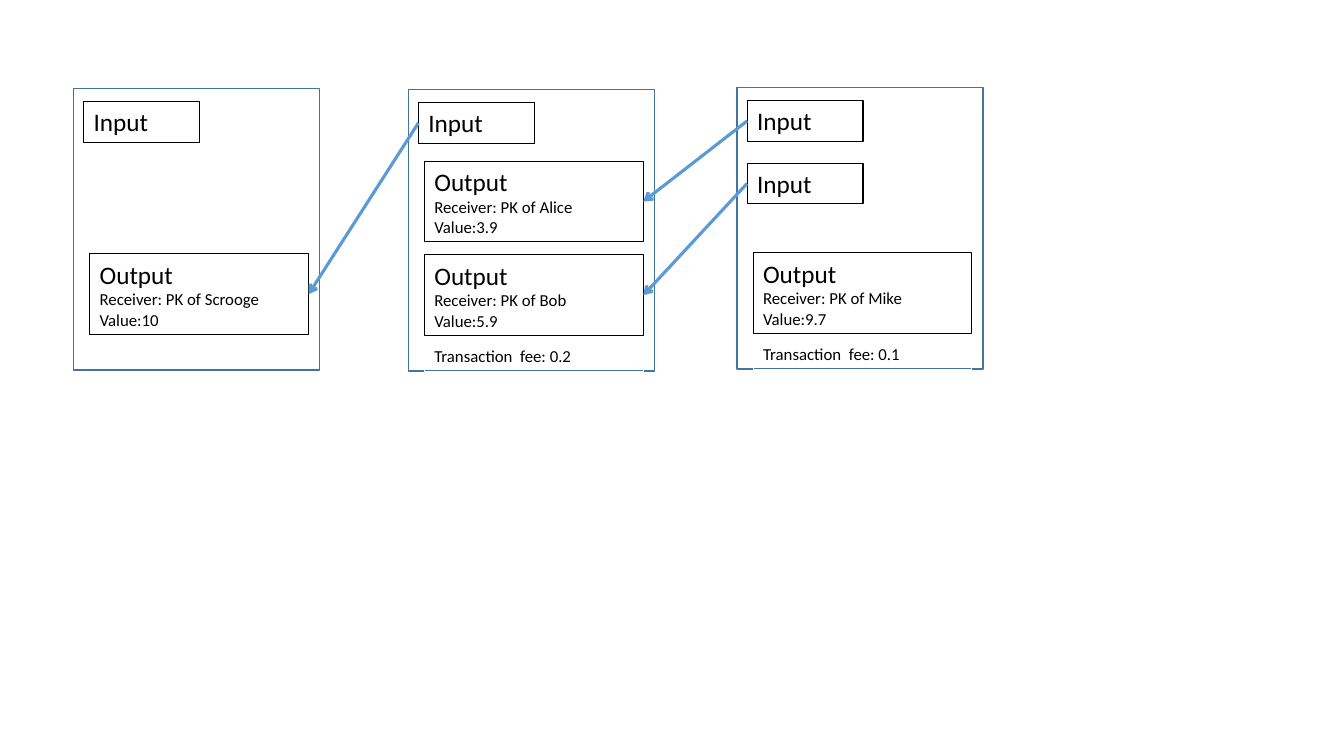
from lxml import etree
from pptx import Presentation
from pptx.dml.color import RGBColor
from pptx.enum.shapes import MSO_CONNECTOR, MSO_SHAPE
from pptx.enum.text import MSO_AUTO_SIZE as AUTO_SIZE, MSO_ANCHOR, PP_ALIGN
from pptx.oxml.ns import qn
from pptx.util import Inches, Pt

WHITE = RGBColor(0xFF, 0xFF, 0xFF)
BLACK = RGBColor(0x00, 0x00, 0x00)
FRAME_BLUE = RGBColor(0x43, 0x73, 0x9E)
ARROW_BLUE = RGBColor(0x5B, 0x9B, 0xD5)
FONT = "Calibri"
LEFT_SITE, RIGHT_SITE = 1, 3

# Offsets from the top left corner of a transaction
INPUT_X, FIRST_INPUT_Y, SECOND_INPUT_Y = 0.1, 0.13, 0.75
OUTPUT_X, UPPER_OUTPUT_Y, LOWER_OUTPUT_Y = 0.16, 0.71, 1.64
FEE_Y = 2.49


def add_box(slide, left, top, width, height, line, weight=0.75, fill=None):
    """Add an outlined rectangle, unfilled unless a fill is given."""
    box = slide.shapes.add_shape(MSO_SHAPE.RECTANGLE, Inches(left), Inches(top),
                                 Inches(width), Inches(height))
    box.shadow.inherit = False
    if fill is None:
        box.fill.background()
    else:
        box.fill.solid()
        box.fill.fore_color.rgb = fill
    box.line.color.rgb = line
    box.line.width = Pt(weight)
    return box


def write_text(box, *lines, first_size=18, size=12, color=BLACK):
    """Write one paragraph per line, the first in its own size."""
    frame = box.text_frame
    frame.word_wrap = True
    frame.auto_size = AUTO_SIZE.SHAPE_TO_FIT_TEXT
    frame.vertical_anchor = MSO_ANCHOR.TOP
    for index, line in enumerate(lines):
        paragraph = frame.add_paragraph() if index else frame.paragraphs[0]
        paragraph.alignment = PP_ALIGN.LEFT
        run = paragraph.add_run()
        run.text = line
        run.font.name = FONT
        run.font.size = Pt(size if index else first_size)
        run.font.color.rgb = color


def add_transaction(slide, left, top):
    """Add the frame of one transaction."""
    add_box(slide, left, top, 2.44, 2.79, FRAME_BLUE, weight=1, fill=WHITE)


def add_input(slide, left, top, offset=FIRST_INPUT_Y):
    """Add an input box to the transaction at left, top."""
    box = add_box(slide, left + INPUT_X, top + offset, 1.15, 0.4, BLACK)
    write_text(box, "Input")
    return box


def add_output(slide, left, top, receiver, value, offset=LOWER_OUTPUT_Y):
    """Add an output box with its receiver and value."""
    box = add_box(slide, left + OUTPUT_X, top + offset, 2.17, 0.8, BLACK)
    write_text(box, "Output", f"Receiver: PK of {receiver}", f"Value:{value}")
    return box


def add_fee(slide, left, top, fee):
    """Add the fee label at the foot of a transaction."""
    box = add_box(slide, left + OUTPUT_X, top + FEE_Y, 2.17, 0.31, WHITE)
    write_text(box, f"Transaction  fee: {fee}", first_size=12)


def add_arrow(slide, spending_input, spent_output):
    """Link an input to the earlier output that it spends."""
    arrow = slide.shapes.add_connector(MSO_CONNECTOR.STRAIGHT, 0, 0, 0, 0)
    arrow.begin_connect(spending_input, LEFT_SITE)
    arrow.end_connect(spent_output, RIGHT_SITE)
    arrow.line.color.rgb = ARROW_BLUE
    arrow.line.width = Pt(2.25)
    etree.SubElement(arrow.line._get_or_add_ln(), qn("a:tailEnd"), type="arrow")
    etree.SubElement(arrow._element.spPr, qn("a:effectLst"))


def main():
    """Build the slide with three chained transactions."""
    deck = Presentation()
    deck.slide_width, deck.slide_height = Inches(13.33), Inches(7.5)
    slide = deck.slides.add_slide(deck.slide_layouts[6])

    scrooge_corner, split_corner, mike_corner = (0.73, 0.88), (4.05, 0.89), (7.31, 0.87)

    add_transaction(slide, *scrooge_corner)
    add_input(slide, *scrooge_corner)
    scrooge_output = add_output(slide, *scrooge_corner, "Scrooge", "10")

    add_transaction(slide, *split_corner)
    split_input = add_input(slide, *split_corner)
    alice_output = add_output(slide, *split_corner, "Alice", "3.9", offset=UPPER_OUTPUT_Y)
    bob_output = add_output(slide, *split_corner, "Bob", "5.9")
    add_fee(slide, *split_corner, "0.2")

    add_transaction(slide, *mike_corner)
    alice_input = add_input(slide, *mike_corner)
    bob_input = add_input(slide, *mike_corner, offset=SECOND_INPUT_Y)
    add_output(slide, *mike_corner, "Mike", "9.7")
    add_fee(slide, *mike_corner, "0.1")

    add_arrow(slide, alice_input, alice_output)
    add_arrow(slide, bob_input, bob_output)
    add_arrow(slide, split_input, scrooge_output)

    deck.save("out.pptx")


main()
